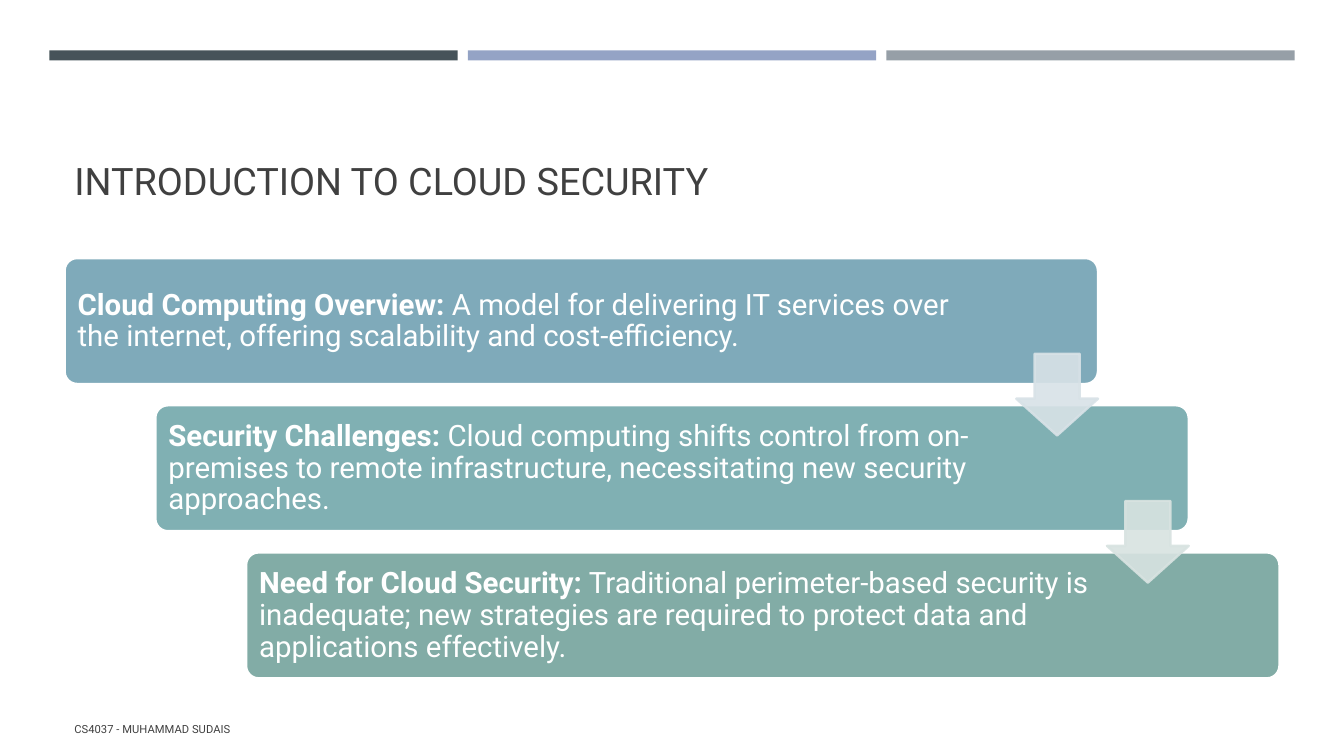
from lxml.etree import SubElement
from pptx import Presentation
from pptx.dml.color import RGBColor
from pptx.enum.shapes import MSO_SHAPE as Shape
from pptx.enum.text import MSO_ANCHOR as Anchor, PP_ALIGN as Align
from pptx.oxml.ns import qn
from pptx.util import Inches, Pt

FONT = "Roboto"
WHITE, DARK = "FFFFFF", "404040"
MARGIN = 0.64
BAR_LEFT, BAR_WIDTH, BAR_PITCH = 0.49, 4.05, 4.15
CARD_TOP, CARD_WIDTH, CARD_HEIGHT = 2.56, 10.25, 1.25
STEP_X, STEP_Y = 0.9, 1.46
ARROW_SIZE = 0.81

BARS = ["465359", "94A3C5", "969FA7"]
# fill, text width, bold lead, text
CARDS = [
    ("7FAABA", 8.9, "Cloud Computing Overview:",
     " A model for delivering IT services over the internet, "
     "offering scalability and cost-efficiency."),
    ("80B0B3", 8.46, "Security Challenges:",
     " Cloud computing shifts control from on-premises to remote "
     "infrastructure, necessitating new security approaches."),
    ("82ACA6", 8.46, "Need for Cloud Security:",
     " Traditional perimeter-based security is inadequate; new strategies "
     "are required to protect data and applications effectively."),
]
ARROWS = ["D8E2E7", "D8E3E1"]


def rgb(value):
    return RGBColor.from_string(value)


def set_all(target, values):
    for name, value in values.items():
        setattr(target, name, value)


def add_block(page, kind, area, fill, line=None, adjustments=()):
    block = page.shapes.add_shape(kind, *map(Inches, area))
    block.shadow.inherit = False
    for index, value in enumerate(adjustments):
        block.adjustments[index] = value
    block.fill.solid()
    block.fill.fore_color.rgb = rgb(fill)
    if line:
        block.line.color.rgb = rgb(line)
        block.line.width = Pt(1.75)
    else:
        block.line.fill.background()
    return block


def make_translucent(block, percent):
    for color in block._element.spPr.iter(qn("a:srgbClr")):
        SubElement(color, qn("a:alpha"), val=str(percent * 1000))


def add_text(page, area, spans, size, color, anchor, frame=None, para=None):
    """Place one paragraph made of (text, bold) spans."""
    box = page.shapes.add_textbox(*map(Inches, area))
    set_all(box.text_frame, {"word_wrap": True, "vertical_anchor": anchor,
                             **(frame or {})})
    paragraph = box.text_frame.paragraphs[0]
    set_all(paragraph, {"alignment": Align.LEFT, **(para or {})})
    for text, bold in spans:
        span = paragraph.add_run()
        span.text = text
        set_all(span.font, {"name": FONT, "size": Pt(size), "bold": bold})
        span.font.color.rgb = rgb(color)


def add_card(page, index, fill, text_width, lead, text):
    left, top = MARGIN + index * STEP_X, CARD_TOP + index * STEP_Y
    add_block(page, Shape.ROUNDED_RECTANGLE,
              (left, top, CARD_WIDTH, CARD_HEIGHT), fill, WHITE, [0.1])
    insets = {f"margin_{side}": Inches(0.09)
              for side in ("left", "top", "right", "bottom")}
    add_text(page, (left + 0.04, top + 0.04, text_width, CARD_HEIGHT - 0.07),
             [(lead, True), (text, False)], 21, WHITE, Anchor.MIDDLE,
             insets, {"line_spacing": 0.9})


def add_arrow(page, index, color):
    """Point from one card to the next, flush with the upper card's right."""
    left = MARGIN + CARD_WIDTH - ARROW_SIZE + index * STEP_X
    top = CARD_TOP + 0.95 + index * STEP_Y
    arrow = add_block(page, Shape.DOWN_ARROW,
                      (left, top, ARROW_SIZE, ARROW_SIZE),
                      color, color, [0.55, 0.45])
    make_translucent(arrow, 90)


def main():
    deck = Presentation()
    set_all(deck, {"slide_width": Inches(13.33), "slide_height": Inches(7.5)})
    page = deck.slides.add_slide(deck.slide_layouts[6])

    for index, color in enumerate(BARS):
        add_block(page, Shape.RECTANGLE,
                  (BAR_LEFT + index * BAR_PITCH, 0.5, BAR_WIDTH, 0.1), color)
    add_text(page, (MARGIN, 0.77, 12.06, 1.3),
             [("INTRODUCTION TO CLOUD SECURITY", False)], 27, DARK,
             Anchor.BOTTOM, para={"line_spacing": 0.9})
    add_text(page, (MARGIN, 7.03, 7.56, 0.4),
             [("CS4037 - MUHAMMAD SUDAIS", False)], 8, DARK,
             Anchor.MIDDLE, para={"space_after": Pt(6)})
    for index, card in enumerate(CARDS):
        add_card(page, index, *card)
    for index, color in enumerate(ARROWS):
        add_arrow(page, index, color)

    deck.save("out.pptx")


if __name__ == "__main__":
    main()
